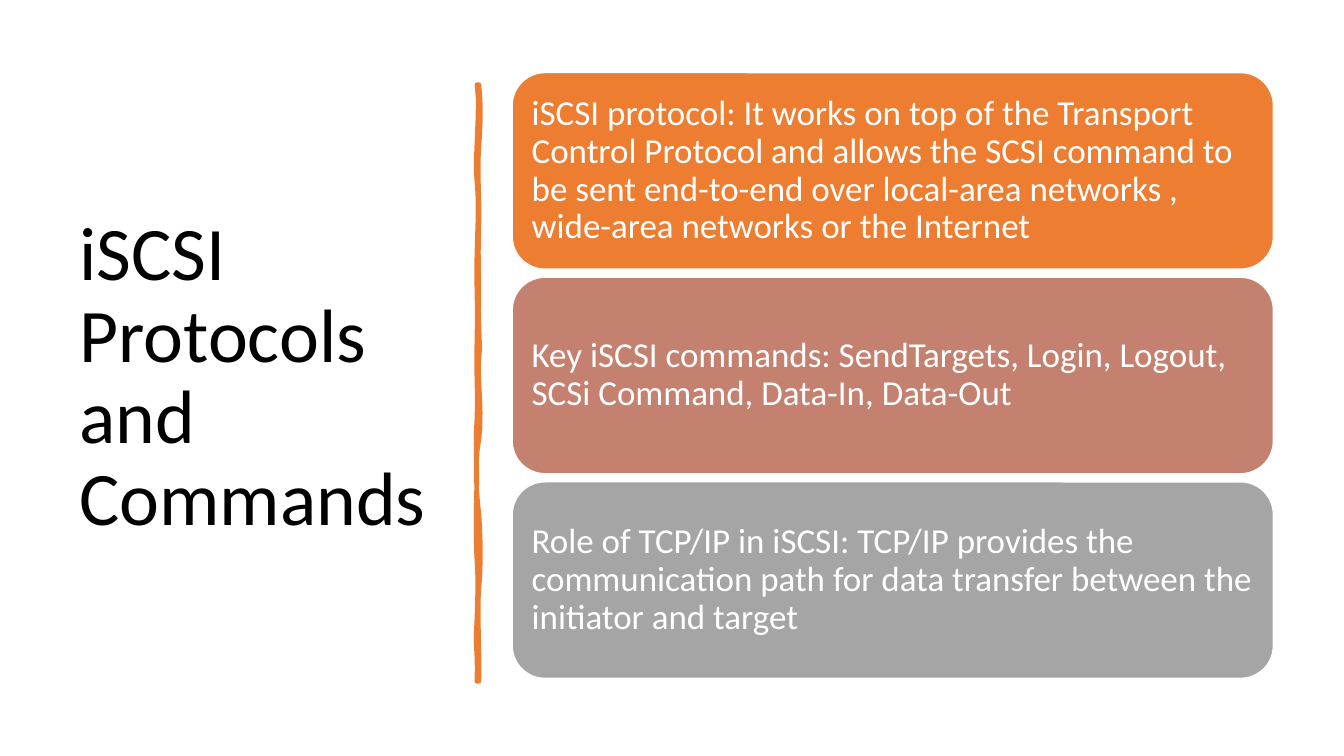
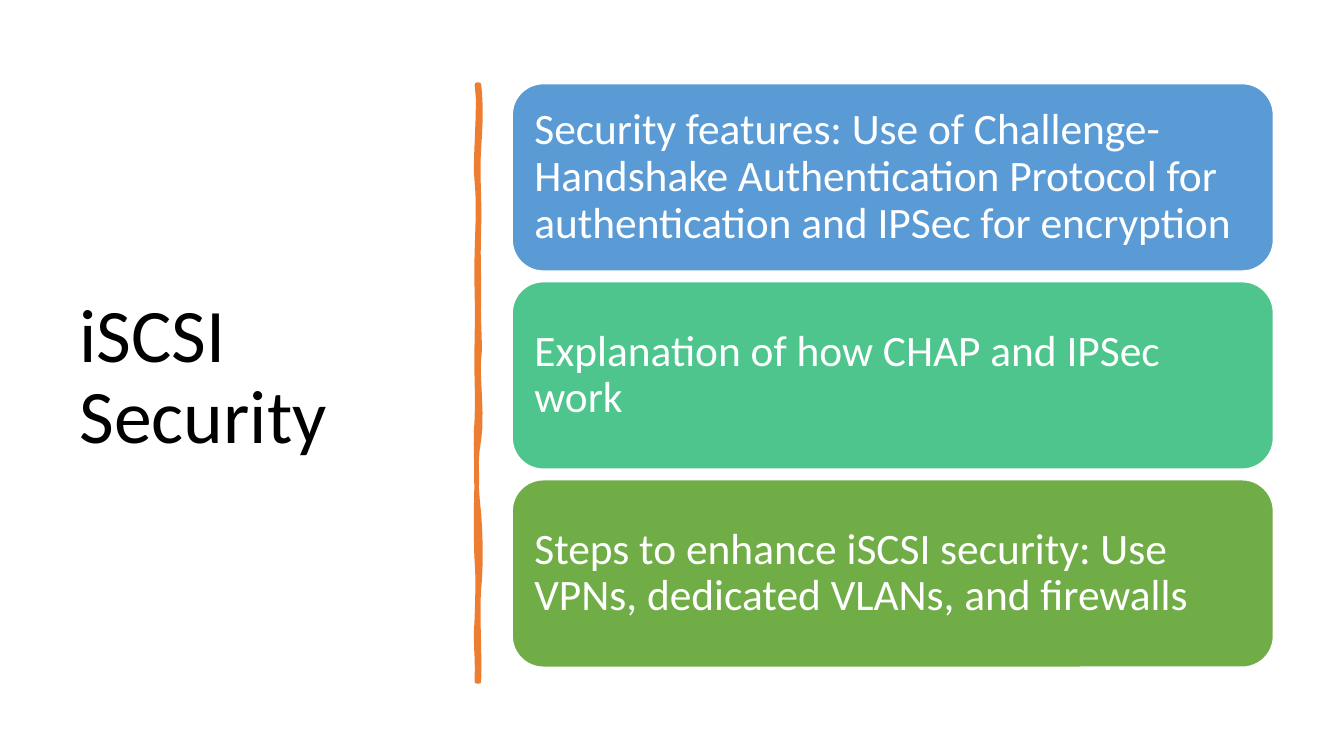
"""Build two iSCSI slides, each with a title, a brushed divider and stacked cards."""
from dataclasses import dataclass

from pptx import Presentation
from pptx.dml.color import RGBColor
from pptx.enum.shapes import MSO_SHAPE
from pptx.enum.text import MSO_ANCHOR, PP_ALIGN
from pptx.slide import Slide
from pptx.text.text import TextFrame
from pptx.util import Inches, Pt

ROUNDED = MSO_SHAPE.ROUNDED_RECTANGLE
MIDDLE = MSO_ANCHOR.MIDDLE
LEFT = PP_ALIGN.LEFT

BLACK = RGBColor(0x00, 0x00, 0x00)
WHITE = RGBColor(0xFF, 0xFF, 0xFF)
ORANGE = RGBColor(0xED, 0x7D, 0x31)
ROSE = RGBColor(0xC4, 0x81, 0x70)
GRAY = RGBColor(0xA5, 0xA5, 0xA5)
BLUE = RGBColor(0x5B, 0x9B, 0xD5)
MINT = RGBColor(0x4D, 0xC5, 0x8D)
GREEN = RGBColor(0x70, 0xAD, 0x47)

FONT = "Calibri"
TITLE_SIZE = 54
LINE_SPACING = 0.9
CARD_LEFT, CARD_WIDTH = 5.08, 7.55
CURVE_STEPS = 6

DIVIDER_START = (4.75, 0.84)
DIVIDER_CURVES = [
    (4.77, 1.02, 4.77, 1.19, 4.75, 1.46),
    (4.73, 1.73, 4.76, 1.95, 4.75, 2.26),
    (4.74, 2.57, 4.75, 2.62, 4.75, 2.94),
    (4.74, 3.25, 4.77, 3.42, 4.75, 3.56),
    (4.73, 3.70, 4.79, 4.14, 4.75, 4.36),
    (4.71, 4.57, 4.72, 4.84, 4.75, 5.10),
    (4.77, 5.36, 4.77, 5.64, 4.75, 5.84),
    (4.73, 6.03, 4.76, 6.50, 4.75, 6.76),
    (4.74, 6.76, 4.73, 6.76, 4.73, 6.76),
    (4.74, 6.46, 4.71, 6.44, 4.73, 6.13),
    (4.74, 5.83, 4.74, 5.70, 4.73, 5.57),
    (4.72, 5.44, 4.72, 4.95, 4.73, 4.77),
    (4.73, 4.59, 4.71, 4.45, 4.73, 4.15),
    (4.74, 3.86, 4.72, 3.73, 4.73, 3.35),
    (4.74, 2.98, 4.72, 2.81, 4.73, 2.50),
    (4.74, 2.18, 4.75, 2.00, 4.73, 1.81),
    (4.70, 1.63, 4.77, 1.04, 4.73, 0.84),
]


@dataclass(frozen=True)
class Card:
    """One coloured statement."""

    text: str
    color: RGBColor


@dataclass(frozen=True)
class Topic:
    """The content of one slide and the measures of its card stack."""

    title: str
    top: float
    bottom: float
    card_height: float
    text_size: int
    inset: float
    cards: tuple[Card, ...]


TOPICS = [
    Topic("iSCSI Protocols and Commands", 0.72, 6.73, 1.95, 25, 0.1, (
        Card("iSCSI protocol: It works on top of the Transport Control Protocol "
             "and allows the SCSI command to be sent end-to-end over local-area "
             "networks , wide-area networks or the Internet", ORANGE),
        Card("Key iSCSI commands: SendTargets, Login, Logout, SCSi Command, "
             "Data-In, Data-Out", ROSE),
        Card("Role of TCP/IP in iSCSI: TCP/IP provides the communication path "
             "for data transfer between the initiator and target", GRAY),
    )),
    Topic("iSCSI Security", 0.83, 6.62, 1.86, 31, 0.13, (
        Card("Security features: Use of Challenge-Handshake Authentication "
             "Protocol for authentication and IPSec for encryption", BLUE),
        Card("Explanation of how CHAP and IPSec work", MINT),
        Card("Steps to enhance iSCSI security: Use VPNs, dedicated VLANs, "
             "and firewalls", GREEN),
    )),
]


def write_text(frame: TextFrame, text: str, size: int, color: RGBColor) -> None:
    """Fill a frame with one left-aligned, vertically centred paragraph."""
    frame.word_wrap = True
    frame.vertical_anchor = MIDDLE
    paragraph = frame.paragraphs[0]
    paragraph.text = text
    paragraph.alignment = LEFT
    paragraph.line_spacing = LINE_SPACING
    paragraph.font.name = FONT
    paragraph.font.size = Pt(size)
    paragraph.font.color.rgb = color


def divider_points() -> list[tuple[int, int]]:
    """Sample the cubic curves of the brush stroke."""
    points = []
    x0, y0 = DIVIDER_START
    for x1, y1, x2, y2, x3, y3 in DIVIDER_CURVES:
        for step in range(1, CURVE_STEPS + 1):
            t = step / CURVE_STEPS
            a, b, c, d = (1 - t) ** 3, 3 * t * (1 - t) ** 2, 3 * t * t * (1 - t), t ** 3
            points.append((Inches(a * x0 + b * x1 + c * x2 + d * x3),
                           Inches(a * y0 + b * y1 + c * y2 + d * y3)))
        x0, y0 = x3, y3
    return points


def add_divider(slide: Slide) -> None:
    """Draw the brushed vertical line."""
    x, y = DIVIDER_START
    builder = slide.shapes.build_freeform(Inches(x), Inches(y))
    builder.add_line_segments(divider_points(), close=True)
    shape = builder.convert_to_shape()
    shape.shadow.inherit = False
    shape.fill.solid()
    shape.fill.fore_color.rgb = ORANGE
    shape.line.color.rgb = ORANGE
    shape.line.width = Pt(3.25)


def add_card(slide: Slide, card: Card, top: float, topic: Topic) -> None:
    """Draw one rounded card with its text."""
    shape = slide.shapes.add_shape(ROUNDED, Inches(CARD_LEFT), Inches(top),
                                   Inches(CARD_WIDTH), Inches(topic.card_height))
    shape.shadow.inherit = False
    shape.fill.solid()
    shape.fill.fore_color.rgb = card.color
    shape.line.color.rgb = WHITE
    shape.line.width = Pt(1)
    frame = shape.text_frame
    frame.margin_left = frame.margin_right = Inches(topic.inset)
    frame.margin_top = frame.margin_bottom = Inches(topic.inset)
    write_text(frame, card.text, topic.text_size, WHITE)


def add_topic(slide: Slide, topic: Topic) -> None:
    """Draw title, divider and evenly spread cards."""
    title = slide.shapes.add_textbox(Inches(0.69), Inches(0.7), Inches(3.74), Inches(6.11))
    write_text(title.text_frame, topic.title, TITLE_SIZE, BLACK)
    add_divider(slide)
    pitch = (topic.bottom - topic.top - topic.card_height) / (len(topic.cards) - 1)
    for index, card in enumerate(topic.cards):
        add_card(slide, card, topic.top + index * pitch, topic)


def main() -> None:
    """Build and save the presentation."""
    presentation = Presentation()
    presentation.slide_width = Inches(13.33)
    presentation.slide_height = Inches(7.5)
    blank_layout = presentation.slide_layouts[6]
    for topic in TOPICS:
        add_topic(presentation.slides.add_slide(blank_layout), topic)
    presentation.save("out.pptx")


if __name__ == "__main__":
    main()
